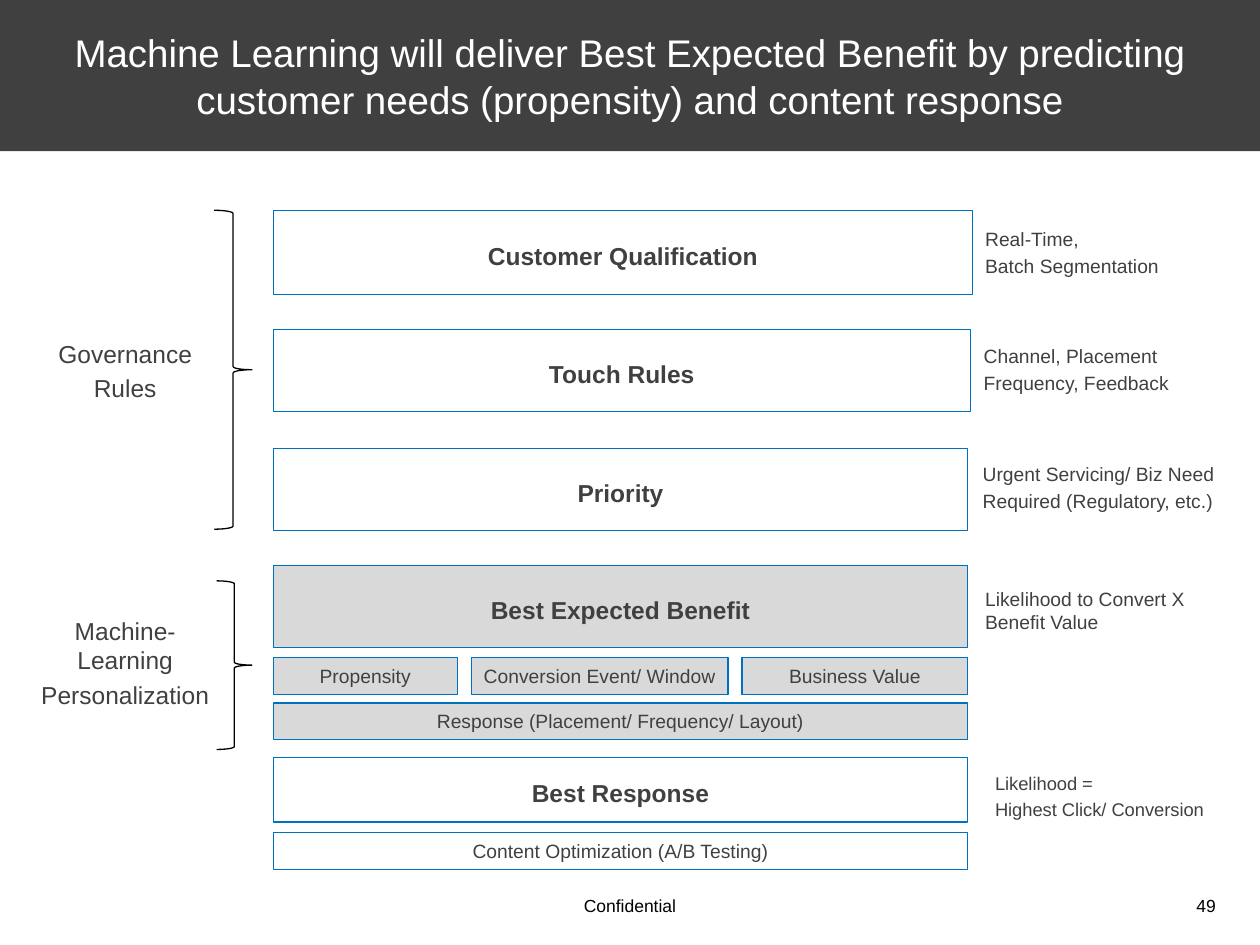
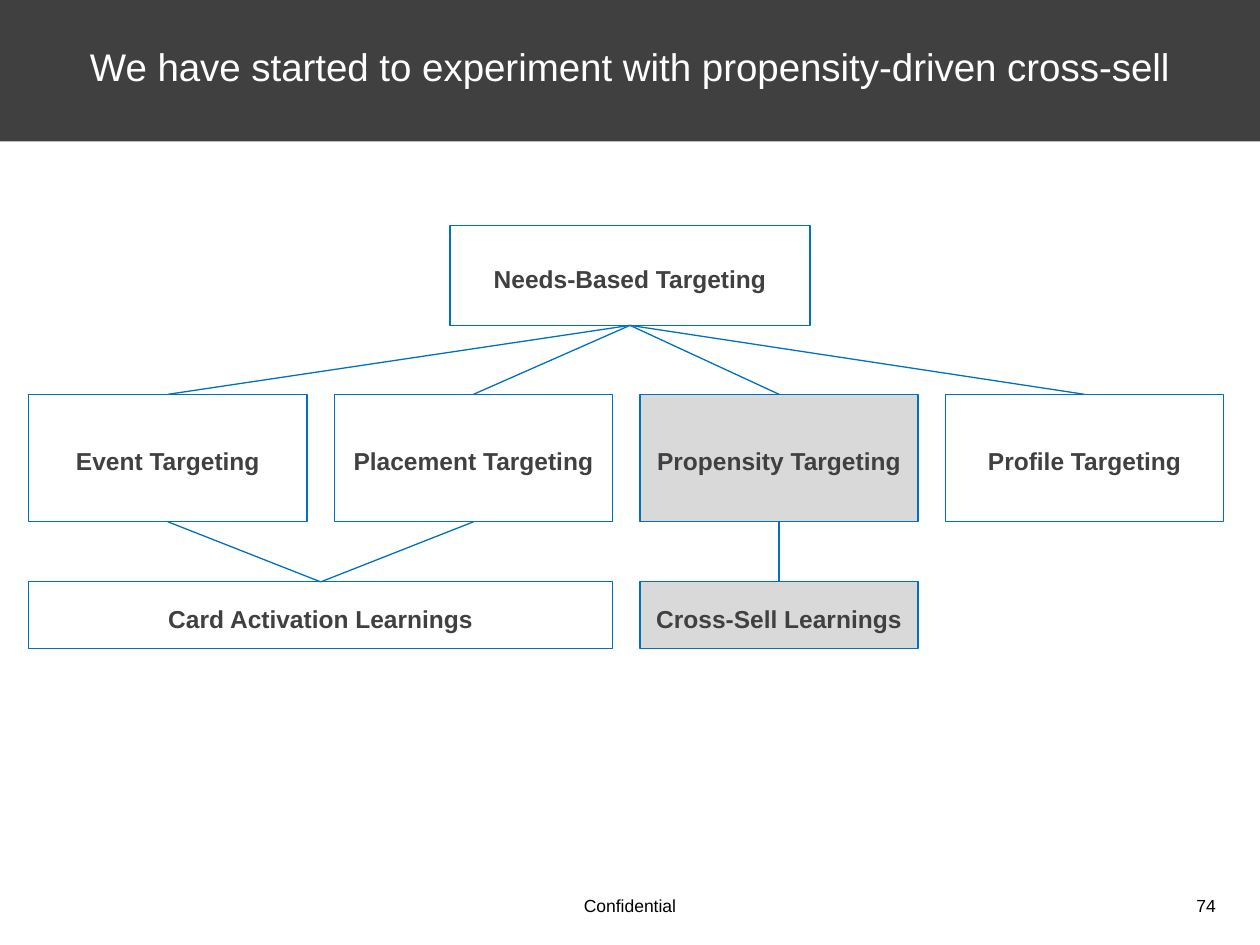
from pptx import Presentation
from pptx.dml.color import RGBColor as Rgb
from pptx.enum.shapes import MSO_CONNECTOR as Link, MSO_SHAPE as Kind
from pptx.enum.text import MSO_ANCHOR as Anchor, MSO_AUTO_SIZE as Fit, PP_ALIGN as Align
from pptx.oxml.ns import qn
from pptx.util import Cm, Pt
from lxml import etree

HUE = {"band": "404040", "text": "404040", "edge": "0070C0", "grey": "D9D9D9",
       "white": "FFFFFF", "black": "000000"}
FONT = "Arial"
HEAD = {"size": Pt(14), "bold": True}
LABEL = {"size": Pt(14), "bold": False}
TAG = {"size": Pt(11), "bold": False}
FOOT = {"size": Pt(10), "bold": False}
TITLE = {"size": Pt(22), "bold": False}


def tint(name):
    return Rgb.from_string(HUE[name])


def put(item, values):
    for name, value in values.items():
        setattr(item, name, value)


def write(shape, lines, style, align, hue="text", lead=None, **frame):
    """Fill a shape with one paragraph per line; frame holds text frame settings."""
    body = shape.text_frame
    put(body, {"auto_size": Fit.NONE, "word_wrap": True, **frame})
    body.text = "\n".join(lines)
    for rank, para in enumerate(body.paragraphs):
        put(para, {"alignment": align, "line_spacing": lead,
                   "space_before": int(style["size"] * 0.2) if rank else Pt(0)})
        put(para.font, {"name": FONT, **style})
        para.font.color.rgb = tint(hue)


def stroke(item, hue="edge"):
    item.line.width = Pt(0.75)
    item.line.color.rgb = tint(hue)


def panel(slide, box, text, fill="white", style=HEAD):
    """Draw an outlined box with one centred line of text."""
    shape = slide.shapes.add_shape(Kind.RECTANGLE, *map(Cm, box))
    shape.shadow.inherit = False
    shape.fill.solid()
    shape.fill.fore_color.rgb = tint(fill)
    stroke(shape)
    big = style is HEAD
    write(shape, [text], style, Align.CENTER, lead=1.2 if big else None,
          word_wrap=big, vertical_anchor=Anchor.MIDDLE)
    return shape


def label(slide, box, lines, style, align, hue="text", **frame):
    shape = slide.shapes.add_textbox(*map(Cm, box))
    write(shape, lines, style, align, hue, **frame)


def brace(slide, box):
    shape = slide.shapes.add_shape(Kind.RIGHT_BRACE, *map(Cm, box))
    shape.shadow.inherit = False
    shape.fill.background()
    stroke(shape, "black")


def join(slide, upper, lower):
    """Link the bottom middle of one box to the top middle of another."""
    line = slide.shapes.add_connector(Link.STRAIGHT, 0, 0, 0, 0)
    line.begin_connect(upper, 2)
    line.end_connect(lower, 0)
    stroke(line)
    etree.SubElement(line._element.spPr, qn("a:effectLst"))


def start(deck, title, number, top=0):
    """Add a slide with its title band and footer."""
    slide = deck.slides.add_slide(deck.slide_layouts[5])
    band = slide.shapes.title
    put(band, {"left": 0, "top": Cm(top), "width": deck.slide_width, "height": Cm(3.05)})
    band.fill.solid()
    band.fill.fore_color.rgb = tint("band")
    write(band, [title], TITLE, Align.CENTER, "white", vertical_anchor=Anchor.MIDDLE,
          margin_left=Cm(0.38), margin_right=Cm(0.38),
          margin_top=Cm(0.25), margin_bottom=Cm(0.25))
    label(slide, (5.08, 17.91, 15.24, 0.69), ["Confidential"], FOOT, Align.CENTER, "black")
    label(slide, (23.62, 17.91, 1.14, 0.69), [number], FOOT, Align.RIGHT, "black")
    return slide


def stages(slide, left, top):
    rows = [(0, 14.1, 1.7, "Customer Qualification", "white"),
            (2.41, 14.05, 1.65, "Touch Rules", "white"),
            (4.8, 14, 1.65, "Priority", "white"),
            (7.16, 14, 1.65, "Best Expected Benefit", "grey"),
            (11.03, 14, 1.3, "Best Response", "white")]
    for drop, wide, high, text, fill in rows:
        panel(slide, (left, top + drop, wide, high), text, fill)
    x, gap, high = left, 0.28, 0.74
    for wide, text in [(3.71, "Propensity"), (5.18, "Conversion Event/ Window"),
                       (4.55, "Business Value")]:
        panel(slide, (x, top + 9.02, wide, high), text, "grey", TAG)
        x += wide + gap
    for drop, text, fill in [(9.93, "Response (Placement/ Frequency/ Layout)", "grey"),
                             (12.55, "Content Optimization (A/B Testing)", "white")]:
        panel(slide, (left, top + drop, 14, high), text, fill, TAG)


def notes(slide, left, top):
    small = {**TAG, "size": Pt(10.5)}
    rows = [(0.05, 0.21, 4.04, ["Real-Time,", "Batch Segmentation"], TAG, False),
            (0.02, 2.57, 4.29, ["Channel, Placement", "Frequency, Feedback"], TAG, False),
            (0, 4.95, 5.21, ["Urgent Servicing/ Biz Need", "Required (Regulatory, etc.)"],
             TAG, False),
            (0.05, 7.47, 5.16, ["Likelihood to Convert X Benefit Value"], TAG, True),
            (0.25, 11.2, 4.93, ["Likelihood =", "Highest Click/ Conversion"], small, True)]
    for shift, drop, wide, lines, style, wrap in rows:
        label(slide, (left + shift, top + drop, wide, 1.3), lines, style, Align.LEFT,
              word_wrap=wrap)


def groups(slide, left, top):
    label(slide, (left + 0.38, top + 2.47, 3.23, 1.57), ["Governance", "Rules"],
          LABEL, Align.CENTER, word_wrap=False)
    label(slide, (left, top + 8.05, 3.99, 2.16), ["Machine-Learning", "Personalization"],
          LABEL, Align.CENTER)
    brace(slide, (left + 3.79, top, 0.76, 6.43))
    brace(slide, (left + 3.84, top + 7.47, 0.71, 3.4))


def tree(slide, left, top):
    wide, step = 5.61, 6.16
    root = panel(slide, (left + 8.49, top, 7.26, 2.01), "Needs-Based Targeting")
    kinds = ["Event", "Placement", "Propensity", "Profile"]
    nodes = [panel(slide, (left + i * step, top + 3.4, wide, 2.57), f"{kind} Targeting",
                   "grey" if kind == "Propensity" else "white")
             for i, kind in enumerate(kinds)]
    card = panel(slide, (left, top + 7.18, step + wide, 1.35), "Card Activation Learnings")
    cross = panel(slide, (left + 2 * step, top + 7.18, wide, 1.35),
                  "Cross-Sell Learnings", "grey")
    for node in nodes:
        join(slide, root, node)
    for node, leaf in zip(nodes, [card, card, cross]):
        join(slide, node, leaf)


def main():
    deck = Presentation()
    put(deck, {"slide_width": Cm(25.4), "slide_height": Cm(19.05)})
    slide = start(deck, "Machine Learning will deliver Best Expected Benefit by predicting "
                  "customer needs (propensity) and content response", "49")
    groups(slide, 0.53, 4.24)
    notes(slide, 19.56, 4.24)
    stages(slide, 5.51, 4.24)
    slide = start(deck, "We have started to experiment with propensity-driven cross-sell",
                  "74", -0.2)
    tree(slide, 0.58, 4.55)
    deck.save("out.pptx")


if __name__ == "__main__":
    main()
